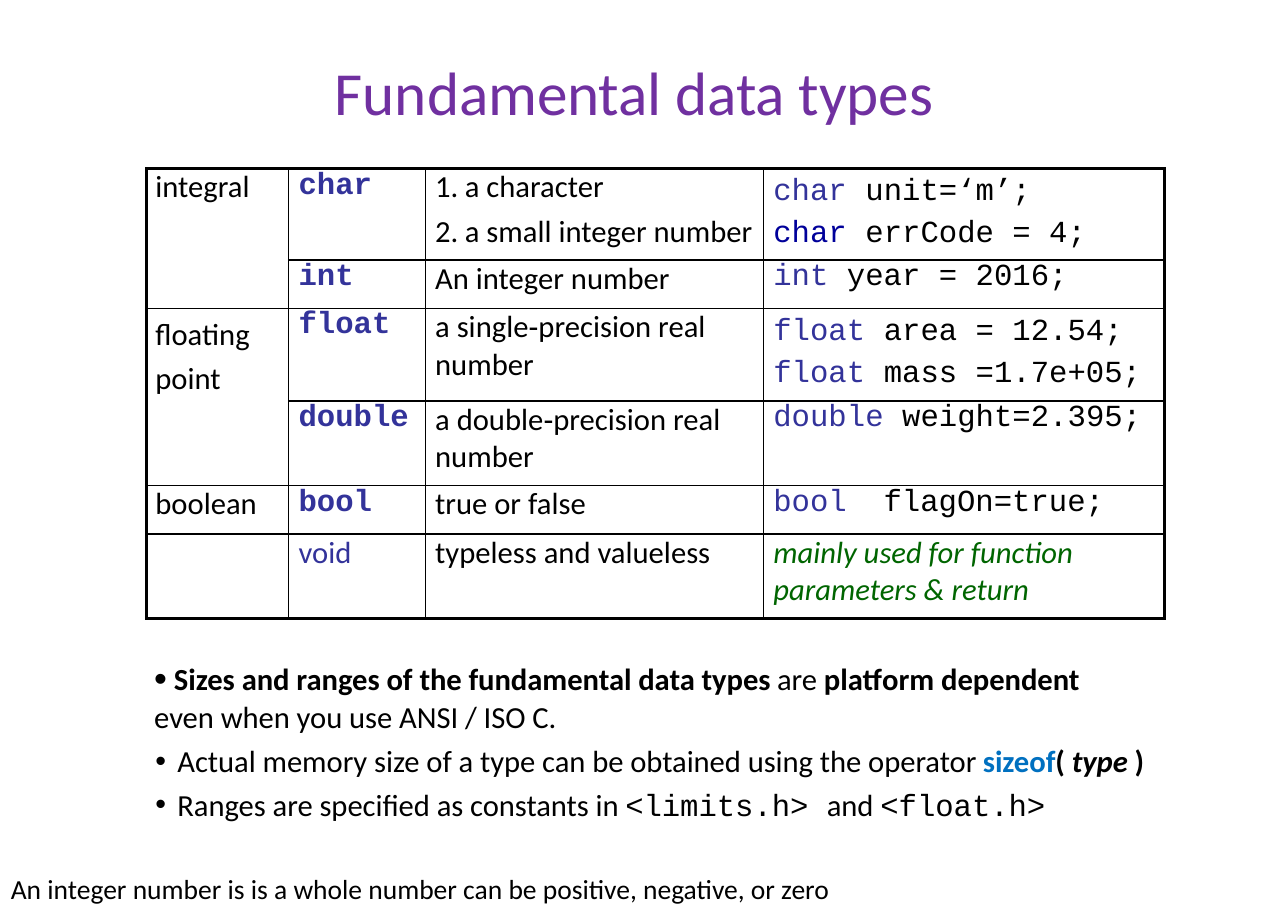
"""Build a slide on the fundamental data types of C."""
import pptx
import pptx.dml.color
import pptx.oxml.ns
import pptx.util
from lxml import etree
from pptx.util import Inches

STYLES = {
    "title": ("Calibri", "7030A0", False, False),
    "text": ("Calibri", "000000", False, False),
    "bold": ("Calibri", "000000", True, False),
    "bold italic": ("Calibri", "000000", True, True),
    "operator": ("Calibri", "0070C0", True, False),
    "type": ("Courier New", "33339A", True, False),
    "keyword": ("Courier New", "33339A", False, False),
    "dark keyword": ("Courier New", "00009A", False, False),
    "code": ("Courier New", "000000", False, False),
    "void": ("Calibri", "33339A", False, False),
    "remark": ("Calibri", "006500", False, True),
}


def rgb(color):
    return pptx.dml.color.RGBColor.from_string(color)


def add_text(tf, paragraphs, size=20, spacing=0):
    for i, (layout, runs) in enumerate(paragraphs):
        p = tf.paragraphs[0] if i == 0 else tf.add_paragraph()
        pPr = p._p.get_or_add_pPr()
        pPr.set("marL", str(Inches(layout.get("left", 0))))
        pPr.set("indent", str(Inches(layout.get("first", 0))))
        for tag, attrs in layout.get("bullet", []):
            etree.SubElement(pPr, pptx.oxml.ns.qn(tag), attrs)
        if "tab" in layout:
            tabs = etree.SubElement(pPr, pptx.oxml.ns.qn("a:tabLst"))
            etree.SubElement(tabs, pptx.oxml.ns.qn("a:tab"),
                             pos=str(Inches(layout["tab"])), algn="l")
        if "line" in layout:
            p.line_spacing = layout["line"]
        if "before" in layout:
            p.space_before = pptx.util.Pt(layout["before"])
        for text, style in runs:
            if text == "\n":
                p.add_line_break()
                continue
            r = p.add_run()
            r.text = text
            r.font.size = pptx.util.Pt(size)
            r.font.name, color, r.font.bold, r.font.italic = STYLES[style]
            r.font.color.rgb = rgb(color)
            if spacing:
                r._r.get_or_add_rPr().set("spc", str(spacing))


prs = pptx.Presentation()
prs.slide_width, prs.slide_height = Inches(11.69), Inches(8.27)
s = prs.slides.add_slide(prs.slide_layouts[6])

dot = [("a:buFont", {"typeface": "Arial"}), ("a:buChar", {"char": "•"})]
big_dot = [("a:buSzPct", {"val": "120000"})] + dot
number = [("a:buFont", {"typeface": "+mj-lt"}), ("a:buAutoNum", {"type": "arabicPeriod"})]

title = [({"left": 1.94}, [("Fundamental data types", "title")])]
notes = [
    ({"left": 0.01, "line": 1.04, "bullet": big_dot}, [
        (" ", "text"), ("Sizes and ranges of the fundamental data types ", "bold"),
        ("are ", "text"), ("platform dependent", "bold"), ("\n", "text"),
        ("even when you use ANSI / ISO C.", "text")]),
    ({"left": 0.22, "first": -0.2, "before": 4.7, "bullet": dot}, [
        ("Actual memory size of a type can be obtained using the operator ", "text"),
        ("sizeof", "operator"), ("( ", "bold"), ("type ", "bold italic"), (")", "bold")]),
    ({"left": 0.22, "first": -0.2, "before": 4.2, "bullet": dot}, [
        ("Ranges are specified as constants in ", "text"), ("<limits.h> ", "code"),
        ("and ", "text"), ("<float.h>", "code")]),
]
footnote = [({}, [("An integer number is is a whole number can be positive, "
                   "negative, or zero", "text")])]

for box, paragraphs, size, spacing, inset, wrap in [
    ((1.1, 0.49, 8.74, 1.35), title, 40, -5, (0, 0), True),
    ((1.39, 5.98, 9.08, 1.49), notes, 20, -5, (0, 0), True),
    ((0, 7.87, 7.73, 0.4), footnote, 18, 0, (0.1, 0.05), False),
]:
    tf = s.shapes.add_textbox(*map(Inches, box)).text_frame
    tf.word_wrap = wrap
    tf.margin_left = tf.margin_right = Inches(inset[0])
    tf.margin_top = tf.margin_bottom = Inches(inset[1])
    add_text(tf, paragraphs, size, spacing)

label = {"left": 0.08}
plain = {"left": 0.09}
loose = {"left": 0.09, "line": 1.2}
item = {"left": 0.36, "first": -0.27, "bullet": number}
rows = [
    [[(label, [("integral", "text")])],
     [(plain, [("char", "type")])],
     [(item, [("a character", "text")]),
      ({**item, "before": 4.8}, [("a small integer number", "text")])],
     [(loose, [("char ", "keyword"), ("unit=‘m’;", "code"), ("\n", "code"),
               ("char ", "dark keyword"), ("errCode = 4;", "code")])]],
    [[],
     [(plain, [("int", "type")])],
     [(plain, [("An integer number", "text")])],
     [(plain, [("int ", "keyword"), ("year = 2016;", "code")])]],
    [[({**label, "line": 1.2}, [("floating point", "text")])],
     [(plain, [("float", "type")])],
     [(plain, [("a single‐precision real number", "text")])],
     [(loose, [("float ", "keyword"), ("area = 12.54; ", "code"),
               ("float ", "keyword"), ("mass =1.7e+05;", "code")])]],
    [[],
     [(plain, [("double", "type")])],
     [(plain, [("a double‐precision real number", "text")])],
     [(plain, [("double ", "keyword"), ("weight=2.395;", "code")])]],
    [[(label, [("boolean", "text")])],
     [(plain, [("bool", "type")])],
     [(plain, [("true or false", "text")])],
     [({**plain, "tab": 1.09}, [("bool\t", "keyword"), ("flagOn=true;", "code")])]],
    [[],
     [(plain, [("void", "void")])],
     [(plain, [("typeless and valueless", "text")])],
     [(plain, [("mainly used for function parameters & return", "remark")])]],
]
widths = [1.29, 1.24, 3.07, 3.64]
heights = [0.83, 0.44, 0.84, 0.77, 0.44, 0.77]

table = s.shapes.add_table(len(rows), len(widths), Inches(1.33), Inches(1.53),
                           Inches(sum(widths)), Inches(sum(heights))).table
table.first_row = table.horz_banding = False
for column, width in zip(table.columns, widths):
    column.width = Inches(width)
for row, height in zip(table.rows, heights):
    row.height = Inches(height)

for i, row in enumerate(rows):
    for j, paragraphs in enumerate(row):
        cell = table.cell(i, j)
        cell.margin_left = cell.margin_right = cell.margin_top = cell.margin_bottom = 0
        add_text(cell.text_frame, paragraphs)
        tcPr = cell._tc.get_or_add_tcPr()
        edges = {"a:lnL": j == 0, "a:lnR": j == len(widths) - 1,
                 "a:lnT": i == 0, "a:lnB": i == len(rows) - 1}
        for tag, outer in edges.items():
            ln = etree.SubElement(tcPr, pptx.oxml.ns.qn(tag),
                                  w=str(pptx.util.Pt(2.25 if outer else 1)))
            fill = etree.SubElement(ln, pptx.oxml.ns.qn("a:solidFill"))
            etree.SubElement(fill, pptx.oxml.ns.qn("a:srgbClr"), val="000000")
        cell.fill.background()

for top in (0, 2):
    table.cell(top, 0).merge(table.cell(top + 1, 0))

prs.save("out.pptx")
